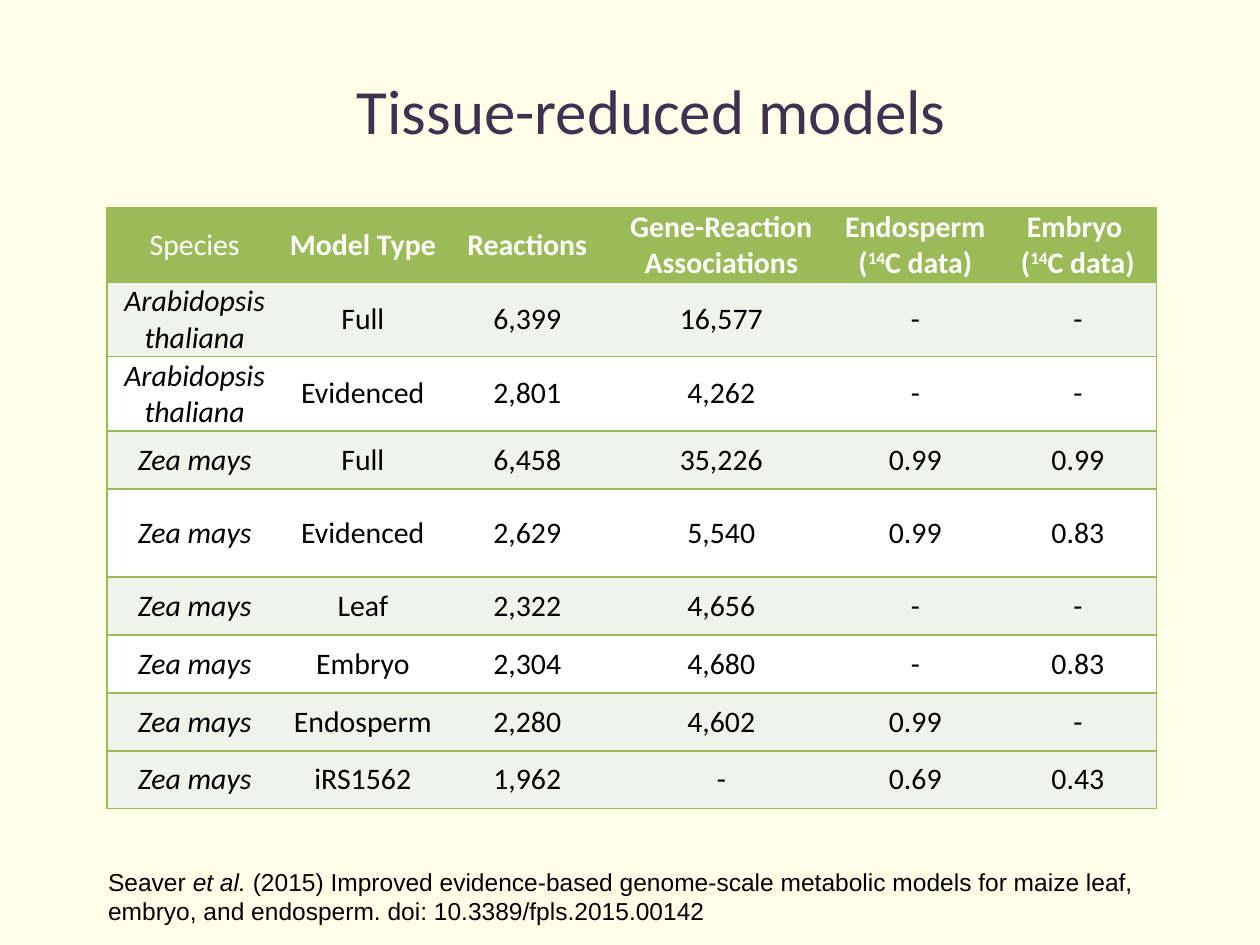
import pptx
import pptx.util
import pptx.dml.color
import pptx.enum.text
import pptx.oxml
import pptx.oxml.ns

Inches, Pt = pptx.util.Inches, pptx.util.Pt
ALIGN, ANCHOR = pptx.enum.text.PP_ALIGN, pptx.enum.text.MSO_ANCHOR

COLORS = {"page": "FFFFE8", "title": "403152", "green": "9BBB59",
          "band": "EFF3EA", "white": "FFFFFF", "black": "000000"}
COL_WIDTHS = [1.39, 1.28, 1.33, 1.75, 1.33, 1.25]
ROW_HEIGHTS = [0.59] * 3 + [0.46, 0.7] + [0.46] * 4
ROW_FILLS = ["green"] + ["band", "white"] * 3 + ["band"] * 2
# Text between carets is superscript.
HEADERS = ["Species", "Model Type", "Reactions", "Gene-Reaction Associations",
           "Endosperm (^14^C data)", "Embryo \n(^14^C data)"]
MODELS = [
    ["Arabidopsis thaliana", "Full", "6,399", "16,577", "-", "-"],
    ["Arabidopsis thaliana", "Evidenced", "2,801", "4,262", "-", "-"],
    ["Zea mays", "Full", "6,458", "35,226", "0.99", "0.99"],
    ["Zea mays", "Evidenced", "2,629", "5,540", "0.99", "0.83"],
    ["Zea mays", "Leaf", "2,322", "4,656", "-", "-"],
    ["Zea mays", "Embryo", "2,304", "4,680", "-", "0.83"],
    ["Zea mays", "Endosperm", "2,280", "4,602", "0.99", "-"],
    ["Zea mays", "iRS1562", "1,962", "-", "0.69", "0.43"],
]


def rgb(name):
    """Return the named colour."""
    return pptx.dml.color.RGBColor.from_string(COLORS[name])


def add_run(p, text, font, size, color, bold=False, italic=False):
    """Append a formatted run to a paragraph."""
    r = p.add_run()
    r.text = text
    r.font.name, r.font.size = font, Pt(size)
    r.font.bold, r.font.italic = bold, italic
    r.font.color.rgb = rgb(color)
    return r


def set_borders(cell, sides):
    """Draw the given sides of a cell in green and clear the others."""
    tc_pr = cell._tc.get_or_add_tcPr()
    for i, side in enumerate("LRTB"):
        paint = (f'<a:solidFill><a:srgbClr val="{COLORS["green"]}"/></a:solidFill>'
                 if side in sides else "<a:noFill/>")
        tc_pr.insert(i, pptx.oxml.parse_xml(
            f'<a:ln{side} {pptx.oxml.ns.nsdecls("a")} w="12700">{paint}</a:ln{side}>'))


def fill_cell(cell, text, fill, color, bold, italic):
    """Write centred text into a cell and paint it."""
    cell.fill.solid()
    cell.fill.fore_color.rgb = rgb(fill)
    cell.vertical_anchor = ANCHOR.MIDDLE
    cell.margin_left = cell.margin_right = Inches(0.02)
    cell.margin_top = cell.margin_bottom = Inches(0.01)
    tf = cell.text_frame
    for i, line in enumerate(text.split("\n")):
        p = tf.add_paragraph() if i else tf.paragraphs[0]
        p.alignment = ALIGN.CENTER
        for j, part in enumerate(line.split("^")):
            r = add_run(p, part, "Calibri", 17, color, bold, italic)
            if j % 2:
                r.font._element.set("baseline", "30000")


def add_title(s, left, top, width, height):
    """Place the centred slide title."""
    tf = s.shapes.add_textbox(left, top, width, height).text_frame
    tf.word_wrap = True
    tf.vertical_anchor = ANCHOR.MIDDLE
    tf.margin_left = tf.margin_right = 0
    p = tf.paragraphs[0]
    p.alignment = ALIGN.CENTER
    add_run(p, "Tissue-reduced models", "Calibri", 36, "title")


def add_model_table(s, left, top, width, height):
    """Place the table of models with its header row."""
    rows = [HEADERS] + MODELS
    table = s.shapes.add_table(len(rows), len(HEADERS), left, top, width, height).table
    table.first_row = table.horz_banding = False
    for column, w in zip(table.columns, COL_WIDTHS):
        column.width = Inches(w)
    last = len(HEADERS) - 1
    for i, values in enumerate(rows):
        table.rows[i].height = Inches(ROW_HEIGHTS[i])
        for j, text in enumerate(values):
            cell = table.cell(i, j)
            header = i == 0
            fill_cell(cell, text, ROW_FILLS[i], "white" if header else "black",
                      bold=header and j > 0, italic=not header and j == 0)
            set_borders(cell, "TB" + ("L" if j == 0 else "R" if j == last else ""))


def add_citation(s, left, top, width, height):
    """Place the two-line literature reference."""
    tf = s.shapes.add_textbox(left, top, width, height).text_frame
    tf.word_wrap = False
    p = tf.paragraphs[0]
    add_run(p, "Seaver ", "Arial", 14, "black")
    add_run(p, "et al. ", "Arial", 14, "black", italic=True)
    add_run(p, "(2015) Improved evidence-based genome-scale metabolic models "
               "for maize leaf, ", "Arial", 14, "black")
    add_run(tf.add_paragraph(), "embryo, and endosperm. doi: 10.3389/fpls.2015.00142",
            "Arial", 14, "black")


prs = pptx.Presentation()
prs.slide_width, prs.slide_height = Inches(10), Inches(7.5)
s = prs.slides.add_slide(prs.slide_layouts[6])
s.background.fill.solid()
s.background.fill.fore_color.rgb = rgb("page")
add_title(s, Inches(0.67), Inches(0.24), Inches(9), Inches(1.25))
add_model_table(s, Inches(0.85), Inches(1.65),
                Inches(sum(COL_WIDTHS)), Inches(sum(ROW_HEIGHTS)))
add_citation(s, Inches(0.76), Inches(6.83), Inches(8.4), Inches(0.57))
prs.save("out.pptx")
